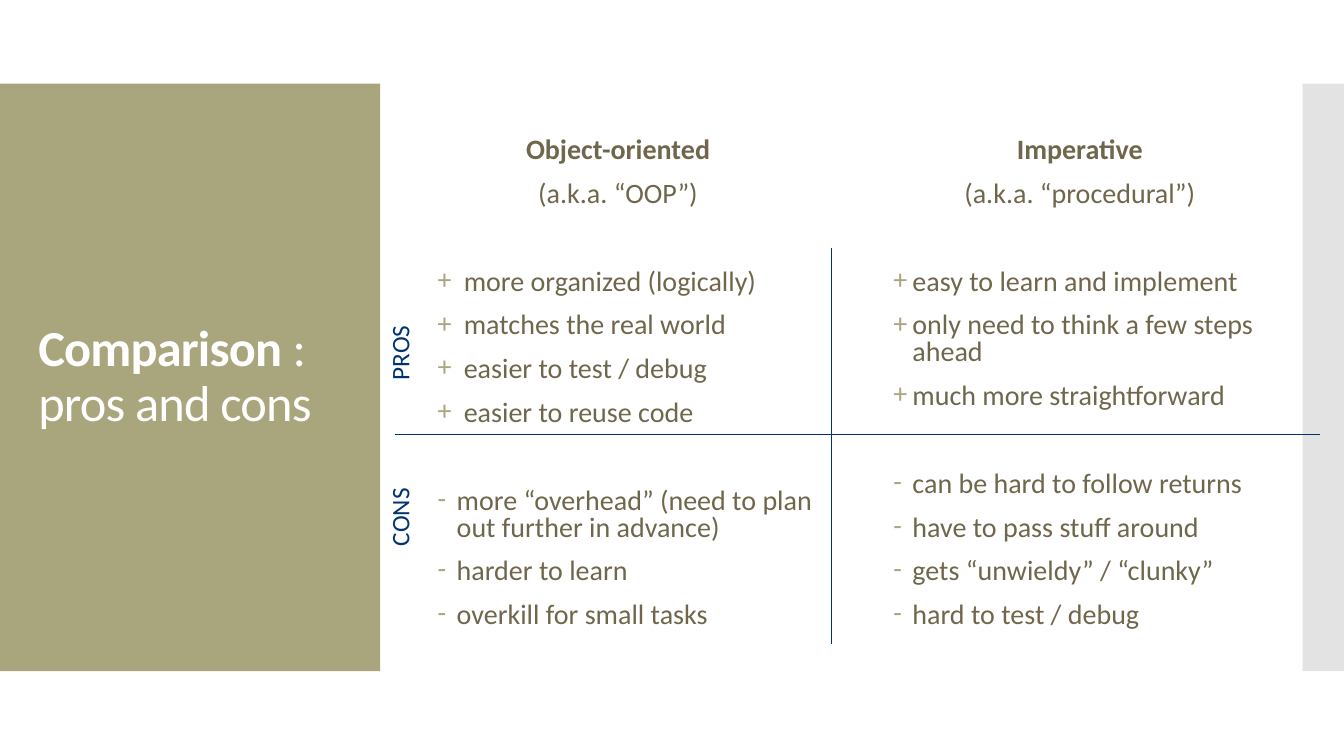
import dataclasses

import pptx
import pptx.dml.color
import pptx.enum.shapes
import pptx.enum.text
import pptx.oxml.ns
import pptx.util
from lxml import etree
from pptx.util import Inches


@dataclasses.dataclass(frozen=True)
class Theme:
    font: str = "Calibri"
    olive: str = "A9A57C"
    grey: str = "E3E3E3"
    brown: str = "6F664C"
    navy: str = "003470"
    white: str = "FFFFFF"
    title: int = 36
    body: int = 20
    label: int = 18
    space: float = 12
    group_space: float = 43.5


THEME = Theme()

COLUMNS = [
    dict(
        heading="Object-oriented", alias="(a.k.a. “OOP”)", left=3.92,
        pros=["more organized (logically)", "matches the real world",
              "easier to test / debug", "easier to reuse code"],
        cons=["more “overhead” (need to plan out further in advance)",
              "harder to learn", "overkill for small tasks"],
        pros_indent=(0.58, 0.26), cons_indent=(0.51, 0.19),
    ),
    dict(
        heading="Imperative", alias="(a.k.a. “procedural”)", left=8.5,
        pros=["easy to learn and implement",
              "only need to think a few steps ahead",
              "much more straightforward"],
        cons=["can be hard to follow returns", "have to pass stuff around",
              "gets “unwieldy” / “clunky”", "hard to test / debug"],
        pros_indent=(0.45, 0.19), cons_indent=(0.45, 0.19),
    ),
]


def rgb(value):
    return pptx.dml.color.RGBColor.from_string(value)


def add_run(p, text, size, color, bold=False):
    r = p.add_run()
    r.text = text
    r.font.name = THEME.font
    r.font.size = pptx.util.Pt(size)
    r.font.bold = bold
    r.font.color.rgb = rgb(color)
    return r


def place(sp, left, top, width, height):
    sp.left, sp.top = Inches(left), Inches(top)
    sp.width, sp.height = Inches(width), Inches(height)


def prepare_text(sp):
    tf = sp.text_frame
    tf.word_wrap = True
    tf.auto_size = pptx.enum.text.MSO_AUTO_SIZE.NONE
    tf.vertical_anchor = pptx.enum.text.MSO_ANCHOR.MIDDLE
    return tf


def set_bullet(p, char=None, left=0, hanging=0):
    """Give the paragraph a bullet character, or none, with its indent."""
    pPr = p._p.get_or_add_pPr()
    pPr.set("marL", str(Inches(left)))
    pPr.set("indent", str(-Inches(hanging)))
    qn = pptx.oxml.ns.qn
    if char is None:
        etree.SubElement(pPr, qn("a:buNone"))
        return
    color = etree.SubElement(pPr, qn("a:buClr"))
    etree.SubElement(color, qn("a:srgbClr"), val=THEME.olive)
    etree.SubElement(pPr, qn("a:buFont"), typeface=THEME.font)
    etree.SubElement(pPr, qn("a:buChar"), char=char)


def add_band(s, left, top, width, height, color):
    """Draw a plain band behind the title and everything above it."""
    sp = s.shapes.add_shape(
        pptx.enum.shapes.MSO_SHAPE.RECTANGLE,
        Inches(left), Inches(top), Inches(width), Inches(height))
    sp.shadow.inherit = False
    sp.fill.solid()
    sp.fill.fore_color.rgb = rgb(color)
    sp.line.fill.background()
    s.shapes.title.element.addprevious(sp.element)


def add_title_panel(s, left, top, width, height):
    add_band(s, left, top, width, height, THEME.olive)
    title = s.shapes.title
    place(title, left + 0.28, top + 0.4, width - 0.55, height - 0.8)
    p = prepare_text(title).paragraphs[0]
    p.alignment = pptx.enum.text.PP_ALIGN.LEFT
    p.line_spacing = 0.9
    for text, bold in [("Comparison ", True), (": pros and cons", False)]:
        r = add_run(p, text, THEME.title, THEME.white, bold)
        r._r.get_or_add_rPr().set("spc", "-60")


def fill_column(sp, column, left, top, width, height):
    place(sp, left, top, width, height)
    tf = prepare_text(sp)

    def add_line(text, space, bold=False, bullet=None, indent=(0, 0)):
        p = tf.add_paragraph() if tf.paragraphs[0].runs else tf.paragraphs[0]
        set_bullet(p, bullet, *indent)
        p.line_spacing = 0.8
        p.space_before = pptx.util.Pt(space)
        align = pptx.enum.text.PP_ALIGN
        p.alignment = align.LEFT if bullet else align.CENTER
        add_run(p, text, THEME.body, THEME.brown, bold)

    add_line(column["heading"], 0, bold=True)
    add_line(column["alias"], THEME.space)
    for group, bullet in [("pros", "+"), ("cons", "-")]:
        for i, text in enumerate(column[group]):
            space = THEME.space if i else THEME.group_space
            add_line(text, space, bullet=bullet,
                     indent=column[group + "_indent"])


def add_divider(s, x1, y1, x2, y2):
    line = s.shapes.add_connector(
        pptx.enum.shapes.MSO_CONNECTOR.STRAIGHT,
        Inches(x1), Inches(y1), Inches(x2), Inches(y2))
    line.line.color.rgb = rgb(THEME.navy)
    line.line.width = pptx.util.Pt(0.75)
    etree.SubElement(line.element.spPr, pptx.oxml.ns.qn("a:effectLst"))


def add_row_label(s, text, center_x, center_y, width=1, height=0.4):
    sp = s.shapes.add_textbox(
        Inches(center_x - width / 2), Inches(center_y - height / 2),
        Inches(width), Inches(height))
    sp.rotation = 270
    p = prepare_text(sp).paragraphs[0]
    p.alignment = pptx.enum.text.PP_ALIGN.CENTER
    add_run(p, text, THEME.label, THEME.navy)


def add_comparison(s, left, top, width, height):
    """Fill both columns and divide them into rows for pros and cons."""
    for sp, column in zip(list(s.placeholders)[1:], COLUMNS):
        fill_column(sp, column, column["left"], top, 4.42, height)
    middle = top + 3.08
    add_divider(s, 8.25, top + 1.23, 8.25, top + height)
    add_divider(s, left, middle, left + width, middle)
    add_row_label(s, "PROS", left + 0.04, middle - 0.81)
    add_row_label(s, "CONS", left + 0.04, middle + 0.82)


def main():
    prs = pptx.Presentation()
    prs.slide_width, prs.slide_height = Inches(13.33), Inches(7.5)
    s = prs.slides.add_slide(prs.slide_layouts.get_by_name("Two Content"))
    add_title_panel(s, 0, 0.83, 3.77, 5.83)
    add_band(s, 12.92, 0.83, 0.41, 5.83, THEME.grey)
    add_comparison(s, 3.92, 1.23, 9.17, 5.16)
    prs.save("out.pptx")


if __name__ == "__main__":
    main()
